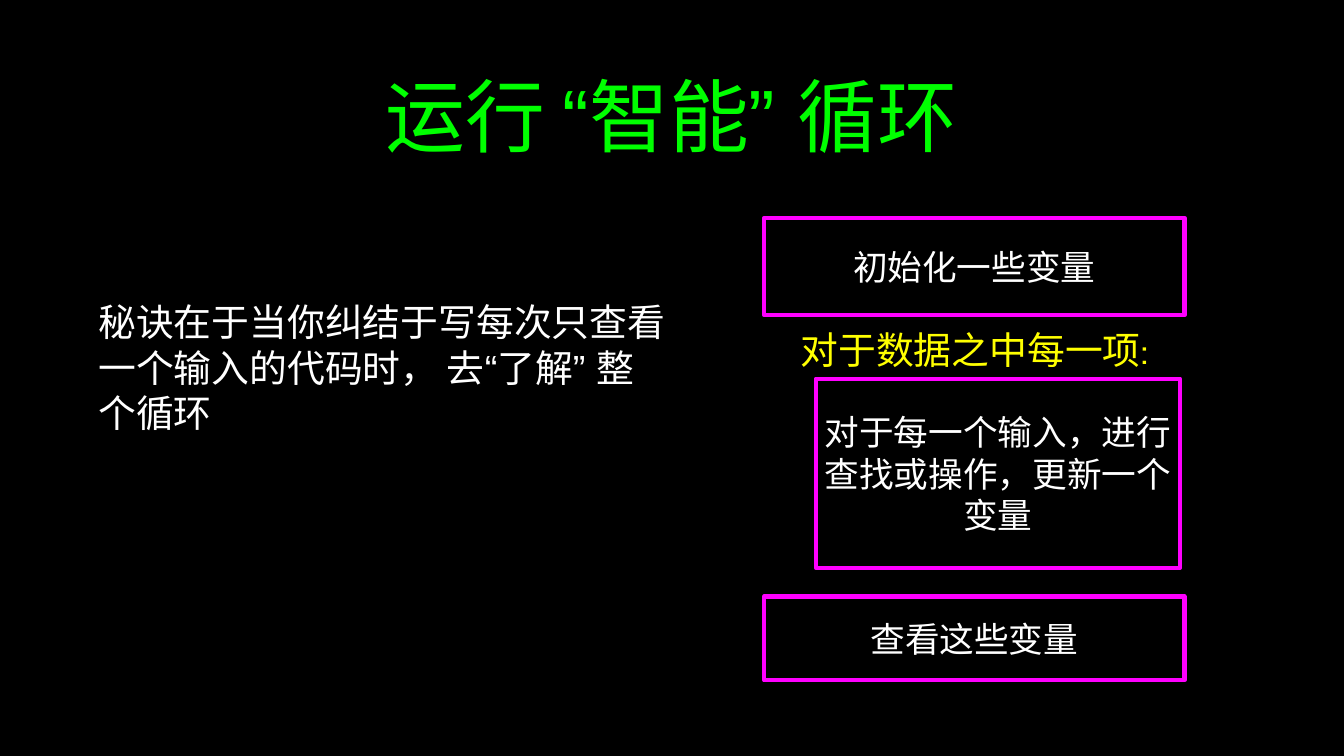
"""Build the slide that explains how to write a smart loop."""
from dataclasses import dataclass

from lxml.etree import SubElement
from pptx import Presentation
from pptx.dml.color import RGBColor
from pptx.enum.shapes import MSO_SHAPE
from pptx.enum.text import MSO_ANCHOR, MSO_AUTO_SIZE, PP_ALIGN
from pptx.oxml.ns import qn
from pptx.util import Inches, Pt


@dataclass(frozen=True)
class Theme:
    background: RGBColor = RGBColor(0x00, 0x00, 0x00)
    heading: RGBColor = RGBColor(0x00, 0xFF, 0x00)
    text: RGBColor = RGBColor(0xFF, 0xFF, 0xFF)
    loop: RGBColor = RGBColor(0xFF, 0xFF, 0x00)
    border: RGBColor = RGBColor(0xFF, 0x00, 0xFF)
    font: str = "Cabin"
    quote_font: str = "Arial"
    heading_size: int = 76
    text_size: int = 36
    step_size: int = 33
    border_width: int = 4


@dataclass(frozen=True)
class Area:
    """Position and size in percent of the slide."""
    left: float
    top: float
    width: float
    height: float

    def lengths(self) -> tuple[int, ...]:
        """Return left, top, width and height in slide units."""
        shares = (self.left, self.top, self.width, self.height)
        sides = (deck.slide_width, deck.slide_height) * 2
        return tuple(round(side * share / 100) for side, share in zip(sides, shares))


@dataclass(frozen=True)
class Step:
    area: Area
    wording: str


THEME = Theme()
STEPS = (
    Step(Area(56.86, 28.8, 31.27, 12.9), "初始化一些变量"),
    Step(Area(60.69, 50.1, 27.11, 25), "对于每一个输入，进行查找或操作，更新一个变量"),
    Step(Area(56.86, 78.9, 31.27, 11.1), "查看这些变量"),
)


def write(holder, pieces: tuple[str, ...], size: int, color: RGBColor,
          align: PP_ALIGN = PP_ALIGN.CENTER, inset: float = 0) -> None:
    """Fill a holder with one paragraph, setting quotation marks in their own font."""
    frame = holder.text_frame
    frame.auto_size = MSO_AUTO_SIZE.NONE
    frame.word_wrap = True
    frame.vertical_anchor = MSO_ANCHOR.MIDDLE
    frame.margin_left = frame.margin_right = Inches(inset)
    frame.margin_top = frame.margin_bottom = Inches(inset)
    paragraph = frame.paragraphs[0]
    paragraph.alignment = align
    paragraph.space_before = Pt(0)
    for piece in pieces:
        run = paragraph.add_run()
        run.text = piece
        run.font.size = Pt(size)
        run.font.color.rgb = color
        run.font.name = THEME.quote_font if piece.strip() in "“”" else THEME.font
        SubElement(run.font._element, qn("a:ea"), typeface=run.font.name)


def place(holder, area: Area) -> None:
    """Move a placeholder to an area."""
    holder.left, holder.top, holder.width, holder.height = area.lengths()


def draw_step(step: Step) -> None:
    """Draw one outlined step of the loop."""
    box = slide.shapes.add_shape(MSO_SHAPE.RECTANGLE, *step.area.lengths())
    box.shadow.inherit = False
    box.fill.background()
    box.line.color.rgb = THEME.border
    box.line.width = Pt(THEME.border_width)
    write(box, (step.wording,), THEME.step_size, THEME.text)


deck = Presentation()
deck.slide_width, deck.slide_height = Inches(17.78), Inches(10)
slide = deck.slides.add_slide(deck.slide_layouts[1])
slide.background.fill.solid()
slide.background.fill.fore_color.rgb = THEME.background

heading, advice = slide.placeholders
place(heading, Area(7.09, 2.6, 85.71, 25.1))
write(heading, ("运行 ", "“", "智能", "” ", "循环"),
      THEME.heading_size, THEME.heading, inset=0.04)

place(advice, Area(7.09, 30.2, 42.69, 36.7))
write(advice, ("秘诀在于当你纠结于写每次只查看一个输入的代码时， 去", "“", "了解", "” ", "整个循环"),
      THEME.text_size, THEME.text, PP_ALIGN.LEFT, 0.04)
advice_format = advice.text_frame.paragraphs[0]._p.get_or_add_pPr()
advice_format.set("marL", "0")
advice_format.set("indent", "0")
SubElement(advice_format, qn("a:buNone"))

for step in STEPS:
    draw_step(step)

loop_label = slide.shapes.add_textbox(*Area(56.36, 42.8, 32.28, 6.8).lengths())
write(loop_label, ("对于数据之中每一项:",), THEME.text_size, THEME.loop)

deck.save("out.pptx")
